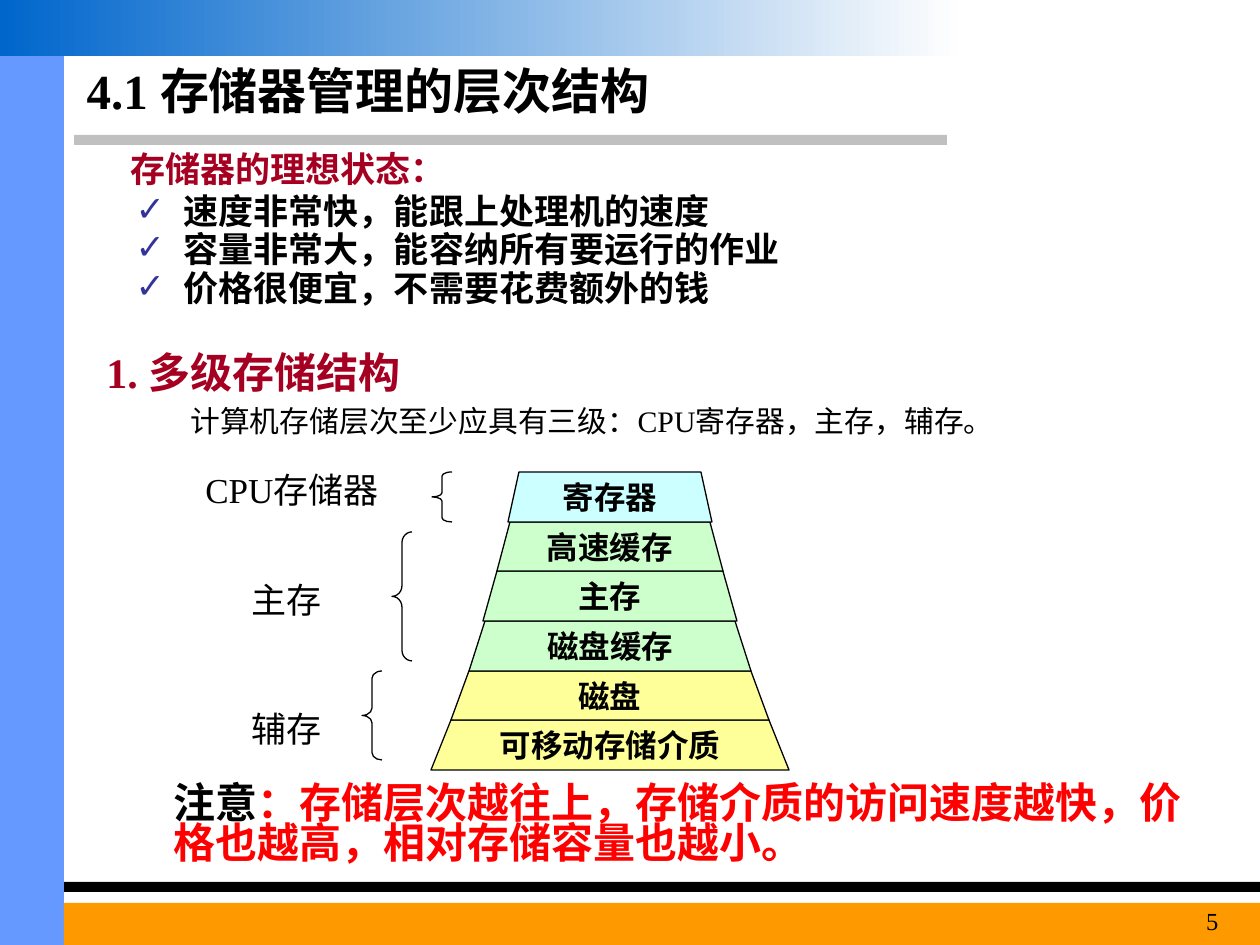
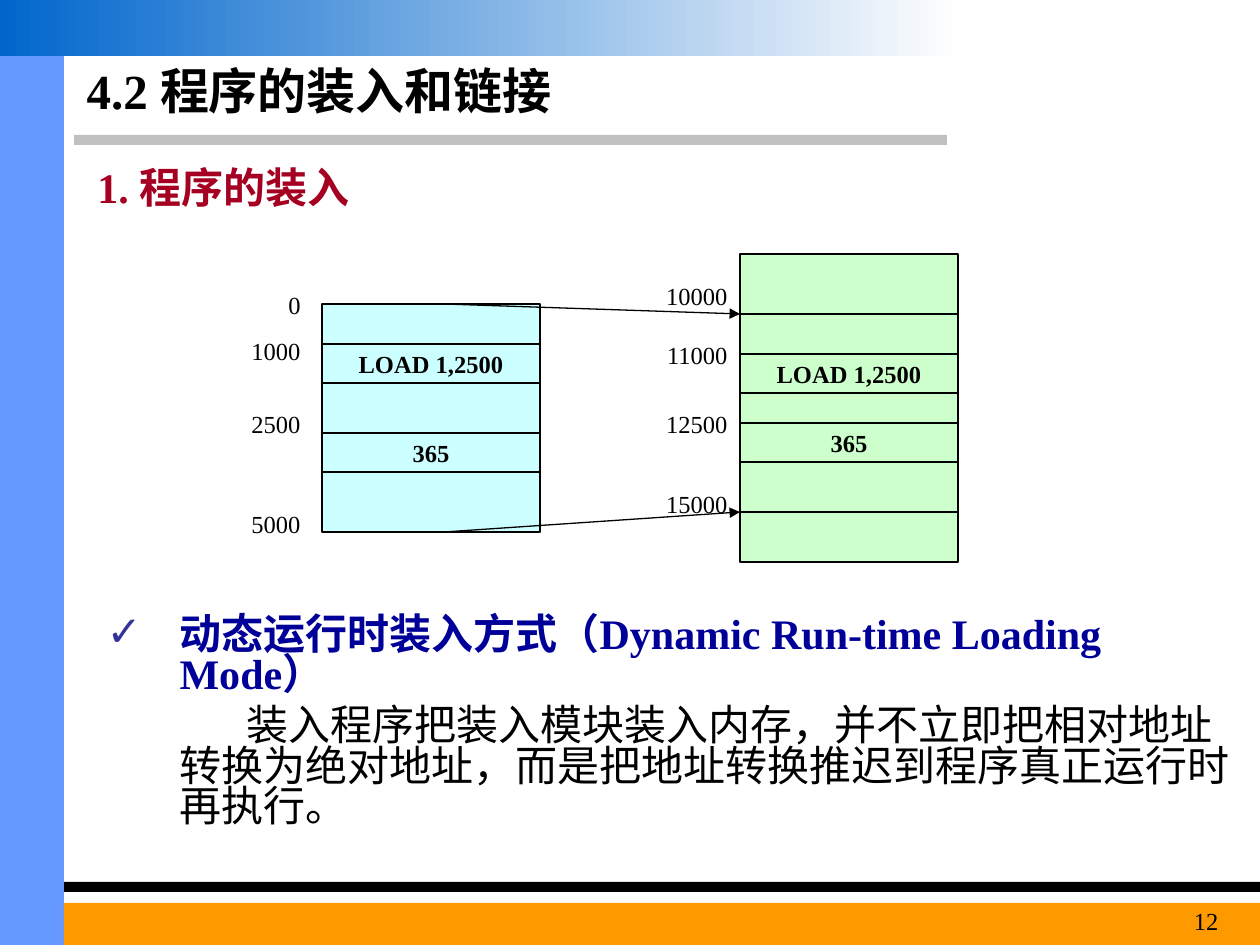
import pptx
import pptx.dml.color
import pptx.enum.shapes
import pptx.enum.text
import pptx.oxml
import pptx.oxml.ns
import pptx.util
from lxml import etree

RGB = pptx.dml.color.RGBColor
BLACK, WHITE = RGB(0, 0, 0), RGB(0xFE, 0xFE, 0xFE)
GREY, ORANGE = RGB(0xC0, 0xC0, 0xC0), RGB(0xFF, 0x99, 0x00)
SIDE_BLUE, TOP_BLUE = RGB(0x66, 0x99, 0xFF), RGB(0x00, 0x66, 0xCC)
CRIMSON, RED, NAVY = RGB(0xA5, 0, 0x21), RGB(0xFF, 0, 0), RGB(0, 0, 0x99)
CYAN, GREEN, YELLOW = RGB(0xCC, 0xFF, 0xFF), RGB(0xCC, 0xFF, 0xCC), RGB(0xFF, 0xFF, 0x99)
CHECK_COLOR = "333399"

SHAPE = pptx.enum.shapes.MSO_SHAPE
ALIGN = pptx.enum.text.PP_ALIGN
ANCHOR = pptx.enum.text.MSO_ANCHOR
FONT = "Times New Roman"
EMU_PER_PX = 914400 / 126
qn = pptx.oxml.ns.qn


def px(n):
    return pptx.util.Emu(round(n * EMU_PER_PX))


class Deck:
    """Holds the shared style and the current slide."""

    def __init__(self):
        self.prs = pptx.Presentation()
        self.prs.slide_width, self.prs.slide_height = px(1260), px(945)
        self.layout = self.prs.slide_layouts[1]
        self.slide = None

    def new_slide(self, title, number):
        first = self.slide is None
        self.slide = self.prs.slides.add_slide(self.layout)
        if first:
            self.frame()
        self.placeholder(0, (74, 55, 863, 69), [dict(runs=[(title, {})])],
                         size=28, bold=True, anchor=ANCHOR.MIDDLE)
        self.text((1116, 900, 115, 45), str(number), size=14, align=ALIGN.RIGHT)

    def frame(self):
        """Draws the bands and moves them to the layout."""
        bands = [((74, 135, 873, 10), GREY), ((0, 882, 1260, 10), BLACK),
                 ((0, 55, 64, 890), SIDE_BLUE), ((64, 903, 1196, 42), ORANGE),
                 ((0, 0, 958, 56), TOP_BLUE)]
        for box, color in bands:
            sp = self.shape(SHAPE.RECTANGLE, box, color, outline=False)
            if color == TOP_BLUE:
                sp.fill.gradient()
                sp.fill.gradient_angle = 0
                for stop, c in zip(sp.fill.gradient_stops, (TOP_BLUE, WHITE)):
                    stop.color.rgb = c
            self.layout.shapes.element.append(sp.element)

    def set_text(self, tf, paragraphs, size=20, color=BLACK, bold=False,
                 align=ALIGN.LEFT, anchor=ANCHOR.TOP, wrap=True):
        frame_format = dict(word_wrap=wrap, vertical_anchor=anchor,
                            auto_size=pptx.enum.text.MSO_AUTO_SIZE.NONE,
                            margin_left=px(12.6), margin_right=px(12.6),
                            margin_top=px(6.3), margin_bottom=px(6.3))
        for name, value in frame_format.items():
            setattr(tf, name, value)
        for i, item in enumerate(paragraphs):
            p = tf.paragraphs[0] if i == 0 else tf.add_paragraph()
            self.indent(p, item.get("left", 0), item.get("first", 0), item.get("check", False))
            p_format = dict(alignment=align, line_spacing=item.get("spacing", 1.0),
                            space_before=pptx.util.Pt(item.get("before", 0) if i else 0))
            for name, value in p_format.items():
                setattr(p, name, value)
            for text, changes in item["runs"]:
                r = p.add_run()
                r.text = text
                style = dict(name=FONT, size=pptx.util.Pt(size), bold=bold, color=color)
                style.update(changes)
                r.font.color.rgb = style.pop("color")
                for name, value in style.items():
                    setattr(r.font, name, value)

    def indent(self, p, left, first, check):
        pPr = p._p.get_or_add_pPr()
        pPr.set("marL", str(px(left)))
        pPr.set("indent", str(px(first)))
        if check:
            clr = etree.SubElement(pPr, qn("a:buClr"))
            etree.SubElement(clr, qn("a:srgbClr"), val=CHECK_COLOR)
            etree.SubElement(pPr, qn("a:buChar"), char="✓")
        else:
            etree.SubElement(pPr, qn("a:buNone"))

    def placeholder(self, idx, box, paragraphs, **style):
        sp = self.slide.placeholders[idx]
        sp.left, sp.top, sp.width, sp.height = map(px, box)
        self.set_text(sp.text_frame, paragraphs, **style)

    def text(self, box, content, left=0, spacing=1.0, **style):
        """Adds a one-paragraph text box; content is a string or a list of runs."""
        runs = [(content, {})] if isinstance(content, str) else content
        sp = self.slide.shapes.add_textbox(*map(px, box))
        self.set_text(sp.text_frame, [dict(runs=runs, left=left, spacing=spacing)], **style)

    def paint(self, sp, fill, outline=True, label=None, size=14):
        sp.shadow.inherit = False
        if fill is None:
            sp.fill.background()
        else:
            sp.fill.solid()
            sp.fill.fore_color.rgb = fill
        if outline:
            sp.line.color.rgb = BLACK
            sp.line.width = pptx.util.Pt(0.75)
        else:
            sp.line.fill.background()
        if label:
            self.set_text(sp.text_frame, [dict(runs=[(label, {})])], size=size, bold=True,
                          align=ALIGN.CENTER, anchor=ANCHOR.MIDDLE, wrap=False)
        return sp

    def shape(self, kind, box, fill, **look):
        return self.paint(self.slide.shapes.add_shape(kind, *map(px, box)), fill, **look)

    def brace(self, x, y, height):
        width = 20
        sp = self.shape(SHAPE.LEFT_BRACE, (x, y, width, height), None)
        sp.adjustments[0] = height / 12 / width

    def trapezoid(self, center, top, bottom, half_top, half_bottom, fill, label):
        points = [(center + half_bottom, bottom), (center - half_bottom, bottom),
                  (center - half_top, top), (center + half_top, top)]
        fb = self.slide.shapes.build_freeform(*points[0], scale=EMU_PER_PX)
        fb.add_line_segments(points[1:], close=True)
        self.paint(fb.convert_to_shape(), fill, label=label, size=18)

    def line(self, x1, y1, x2, y2, arrow=False):
        cx = self.slide.shapes.add_connector(
            pptx.enum.shapes.MSO_CONNECTOR.STRAIGHT, *map(px, (x1, y1, x2, y2)))
        cx.line.color.rgb = BLACK
        cx.line.width = pptx.util.Pt(0.75)
        spPr = cx.element.spPr
        if arrow:
            etree.SubElement(spPr.find(qn("a:ln")), qn("a:tailEnd"), type="triangle")
        etree.SubElement(spPr, qn("a:effectLst"))


def hierarchy_slide(deck):
    deck.new_slide("4.1 存储器管理的层次结构", 5)

    # Ideal memory
    deck.text((94, 141, 576, 55), "存储器的理想状态：", left=24, color=CRIMSON, bold=True)
    ideals = ["速度非常快，能跟上处理机的速度", "容量非常大，能容纳所有要运行的作业",
              "价格很便宜，不需要花费额外的钱"]
    deck.placeholder(1, (123, 195, 764, 129),
                     [dict(runs=[(t, {})], left=48, first=-48, check=True,
                           spacing=0.7, before=5) for t in ideals], bold=True)

    # Multi-level structure
    deck.text((94, 340, 625, 63), "1. 多级存储结构", size=24, color=CRIMSON, bold=True)
    deck.text((144, 403, 1072, 49), "计算机存储层次至少应具有三级：CPU寄存器，主存，辅存。",
              left=34, spacing=0.8, size=17)
    deck.text((113, 780, 1111, 100),
              [("注意", dict(color=BLACK)),
               ("：存储层次越往上，存储介质的访问速度越快，价格也越高，相对存储容量也越小。", {})],
              left=48, spacing=0.8, size=24, color=RED, bold=True)

    # Pyramid, from the base up
    layers = [("寄存器", CYAN, 91, 102), ("高速缓存", GREEN, 100, 113),
              ("主存", GREEN, 113, 127), ("磁盘缓存", GREEN, 125, 141),
              ("磁盘", YELLOW, 141, 159), ("可移动存储介质", YELLOW, 159, 179)]
    peak, base = 472, 770
    step = (base - peak) / len(layers)
    for i, (label, fill, half_top, half_bottom) in reversed(list(enumerate(layers))):
        deck.trapezoid(610, round(peak + i * step), round(peak + (i + 1) * step),
                       half_top, half_bottom, fill, label)

    # Level names and braces
    levels = [("CPU存储器", 462, 228, ALIGN.LEFT, (432, 472, 50)),
              ("主存", 572, 188, ALIGN.CENTER, (392, 532, 129)),
              ("辅存", 701, 188, ALIGN.CENTER, (362, 671, 89))]
    for name, top, width, align, brace in levels:
        deck.text((193, top, width, 55), name, align=align)
        deck.brace(*brace)


def loading_slide(deck):
    deck.new_slide("4.2 程序的装入和链接", 12)
    deck.text((74, 155, 605, 63), "1. 程序的装入", left=11, size=24, color=CRIMSON, bold=True)

    # Address spaces: block box, fill, tops of LOAD and data cells, addresses
    width, cell = 218, 39
    spaces = [(322, 304, 228, CYAN, (344, 433), 203,
               [("0", 284), ("1000", 330), ("2500", 403), ("5000", 503)]),
              (740, 254, 308, GREEN, (354, 423), 630,
               [("10000", 275), ("11000", 334), ("12500", 403), ("15000", 483)])]
    for left, top, height, fill, cell_tops, address_left, addresses in spaces:
        deck.shape(SHAPE.RECTANGLE, (left, top, width, height), fill)
        for label, y in zip(("LOAD 1,2500", "365"), cell_tops):
            deck.shape(SHAPE.RECTANGLE, (left, y, width, cell), fill, label=label)
        for address, y in addresses:
            deck.text((address_left, y, 110, 43), address, size=14, align=ALIGN.RIGHT)

    # Mapping of the program's start and end
    for source_y, target_y in ((304, 314), (532, 512)):
        deck.line(740, target_y, 958, target_y)
        deck.line(444, source_y, 740, target_y, arrow=True)

    # Dynamic loading
    deck.placeholder(1, (94, 611, 1166, 228), [
        dict(runs=[("动态运行时装入方式（Dynamic Run-time Loading Mode）",
                    dict(color=NAVY, bold=True))],
             left=73, first=-73, check=True, spacing=0.8),
        dict(runs=[("装入程序把装入模块装入内存，并不立即把相对地址转换为绝对地址，"
                    "而是把地址转换推迟到程序真正运行时再执行。", {})],
             left=73, first=67, spacing=0.8, before=6)], size=24)


def main():
    deck = Deck()
    hierarchy_slide(deck)
    loading_slide(deck)
    deck.prs.save("out.pptx")


if __name__ == "__main__":
    main()
